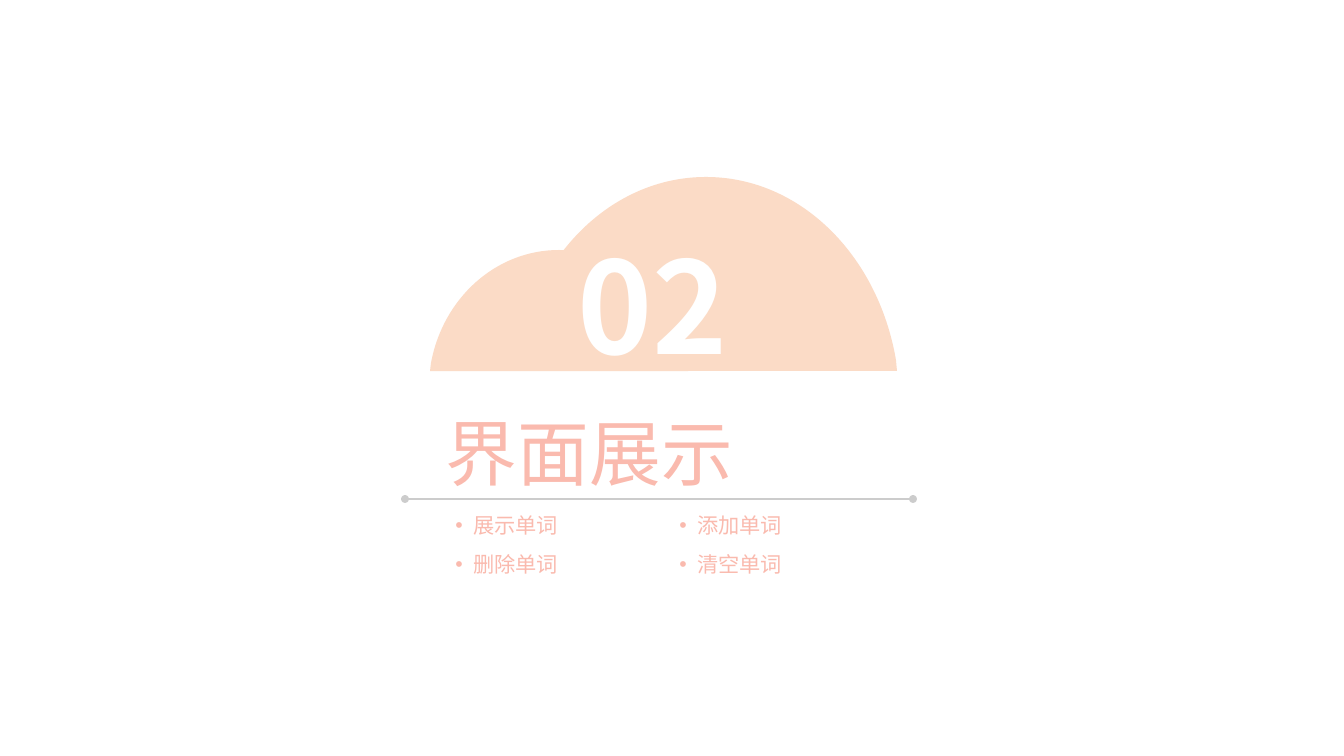
from lxml import etree
from pptx import Presentation
from pptx import util as u
from pptx.dml.color import RGBColor
from pptx.enum import shapes, text
from pptx.oxml import ns

PX = 914400 / 95.6
FONT = "Noto Sans CJK SC"
COLORS = {"cloud": "FBDBC6", "number": "FFFFFF", "title": "FABAAE", "rule": "CCCCCC"}
TOPICS = [["展示单词", "添加单词"], ["删除单词", "清空单词"]]


def emu(px):
    return u.Emu(round(px * PX))


def color(name):
    return RGBColor.from_string(COLORS[name])


def bend(line, shape, points):
    line.tag = ns.qn("a:cubicBezTo")
    for i, (x, y) in enumerate(points):
        spot = etree.Element(ns.qn("a:pt"), x=str(emu(x) - shape.left),
                             y=str(emu(y) - shape.top))
        line.insert(i, spot)


def add_dome(slide, mid, top, base, curve):
    near, far, side = curve
    left = [(mid - x, y) for x, y in (near, far, side, base)]
    right = [(mid + x, y) for x, y in (near, far, side, base)]
    stops = [left[2], left[3], right[3], right[2], (mid, top)]
    pen = slide.shapes.build_freeform(emu(mid), emu(top), scale=1.0)
    pen.add_line_segments([(emu(x), emu(y)) for x, y in stops], close=True)
    dome = pen.convert_to_shape()
    lines = list(dome._element.iter(ns.qn("a:lnTo")))
    bend(lines[0], dome, left[:2])
    bend(lines[-1], dome, [right[1], right[0]])
    dome.shadow.inherit = False
    dome.fill.solid()
    dome.fill.fore_color.rgb = color("cloud")
    dome.line.fill.background()


def add_text(slide, words, box, size, tint, inset=(0, 0), wrap=True, bold=False):
    shape = slide.shapes.add_textbox(*map(emu, box))
    frame = shape.text_frame
    frame.text = words
    frame.word_wrap = wrap
    frame.auto_size = text.MSO_AUTO_SIZE.SHAPE_TO_FIT_TEXT
    frame.margin_left = frame.margin_right = u.Inches(inset[0])
    frame.margin_top = frame.margin_bottom = u.Inches(inset[1])
    line = frame.paragraphs[0]
    font = line.runs[0].font
    font.size = u.Pt(size)
    font.name = FONT
    font.bold = bold
    font.color.rgb = color(tint)
    etree.SubElement(line.runs[0]._r.get_or_add_rPr(), ns.qn("a:ea"), typeface=FONT)
    return line


def add_topic(slide, words, left, top):
    line = add_text(slide, words, (left, top, 123, 35), 16, "title", (0.1, 0.05), False)
    props = line._p.get_or_add_pPr()
    props.set("marL", str(emu(18)))
    props.set("indent", str(-emu(18)))
    etree.SubElement(props, ns.qn("a:buFont"), typeface="Arial")
    etree.SubElement(props, ns.qn("a:buChar"), char="•")


def add_rule(slide, left, right, y):
    rule = slide.shapes.add_connector(
        shapes.MSO_CONNECTOR.STRAIGHT, emu(left), emu(y), emu(right), emu(y))
    rule.line.color.rgb = color("rule")
    rule.line.width = u.Pt(1)
    stroke = rule.line._get_or_add_ln()
    for end in ("a:headEnd", "a:tailEnd"):
        etree.SubElement(stroke, ns.qn(end), type="oval")
    etree.SubElement(rule._element.spPr, ns.qn("a:effectLst"))


def main():
    deck = Presentation()
    deck.slide_width, deck.slide_height = emu(1344), emu(756)
    slide = deck.slides.add_slide(deck.slide_layouts[6])
    add_dome(slide, 706, 177, (191, 371), [(94, 177), (172, 255), (190, 360)])
    add_dome(slide, 559, 250, (129, 371), [(63, 250), (116, 298), (128, 363)])
    number = add_text(slide, "02", (553, 227, 200, 185), 96, "number", bold=True)
    number.alignment = text.PP_ALIGN.CENTER
    add_rule(slide, 405, 913, 499)
    add_text(slide, "界面展示", (446, 409, 467, 87), 54, "title")
    for row, names in enumerate(TOPICS):
        for col, name in enumerate(names):
            add_topic(slide, name, 446 + 224 * col, 508 + 39 * row)
    deck.save("out.pptx")


if __name__ == "__main__":
    main()
